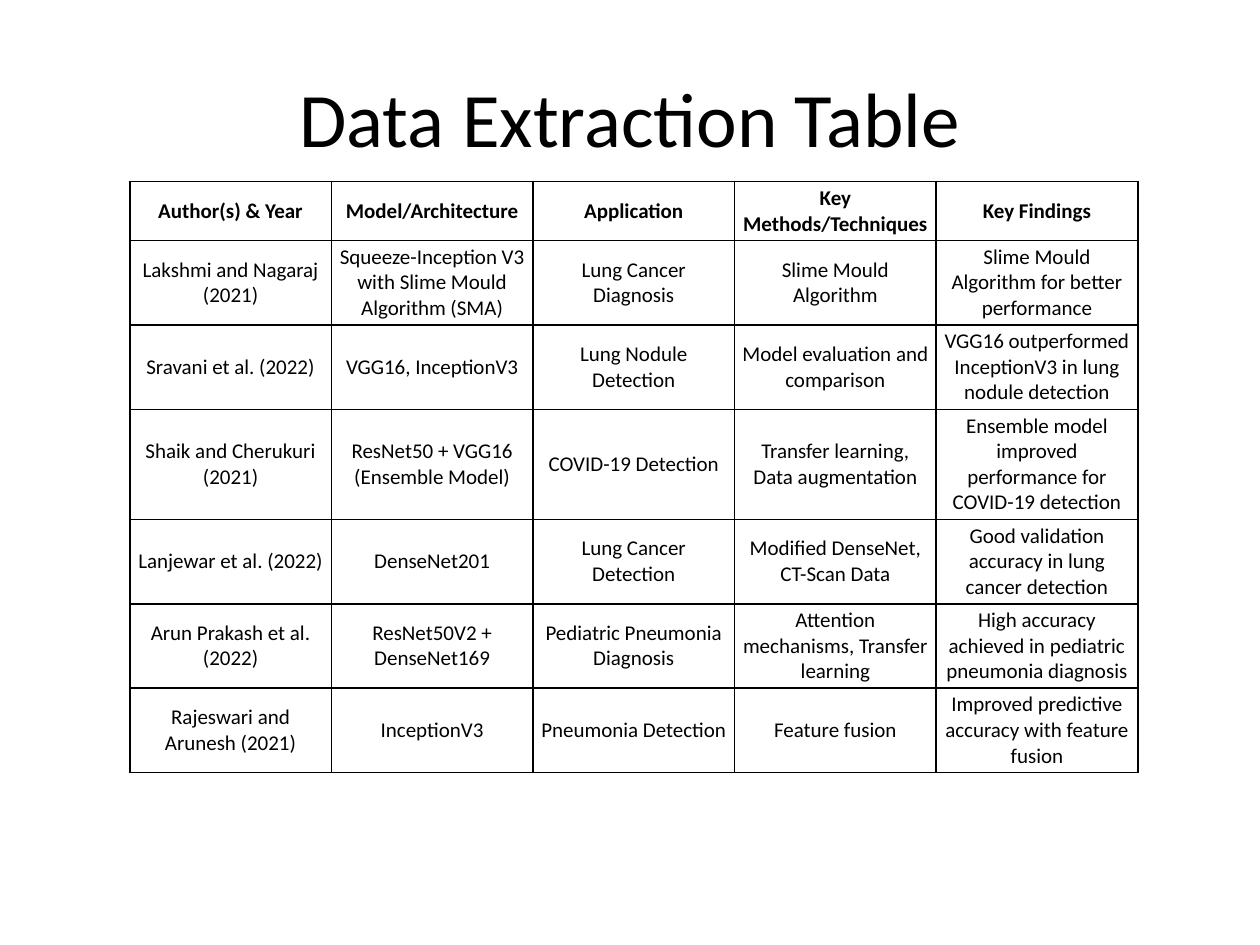
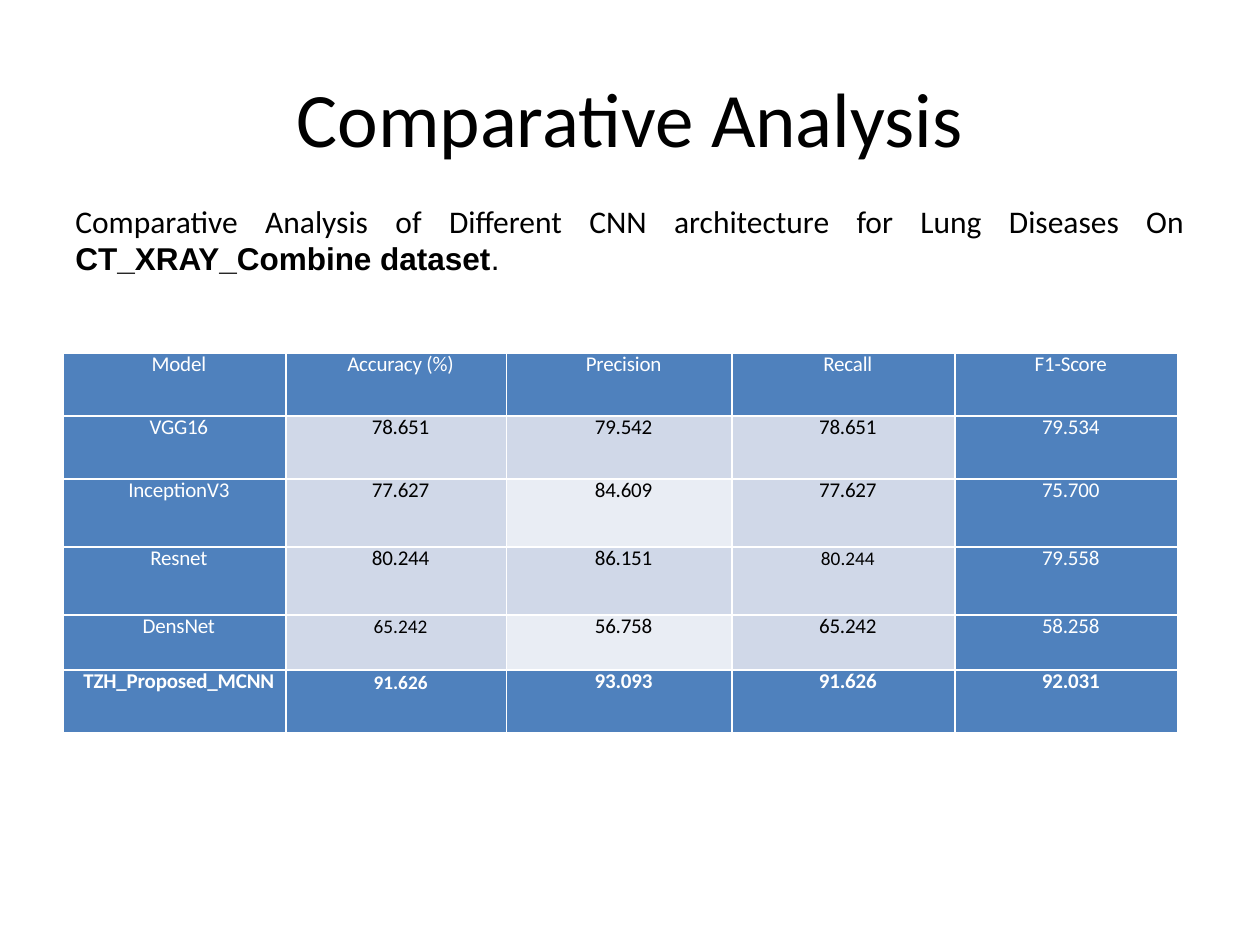
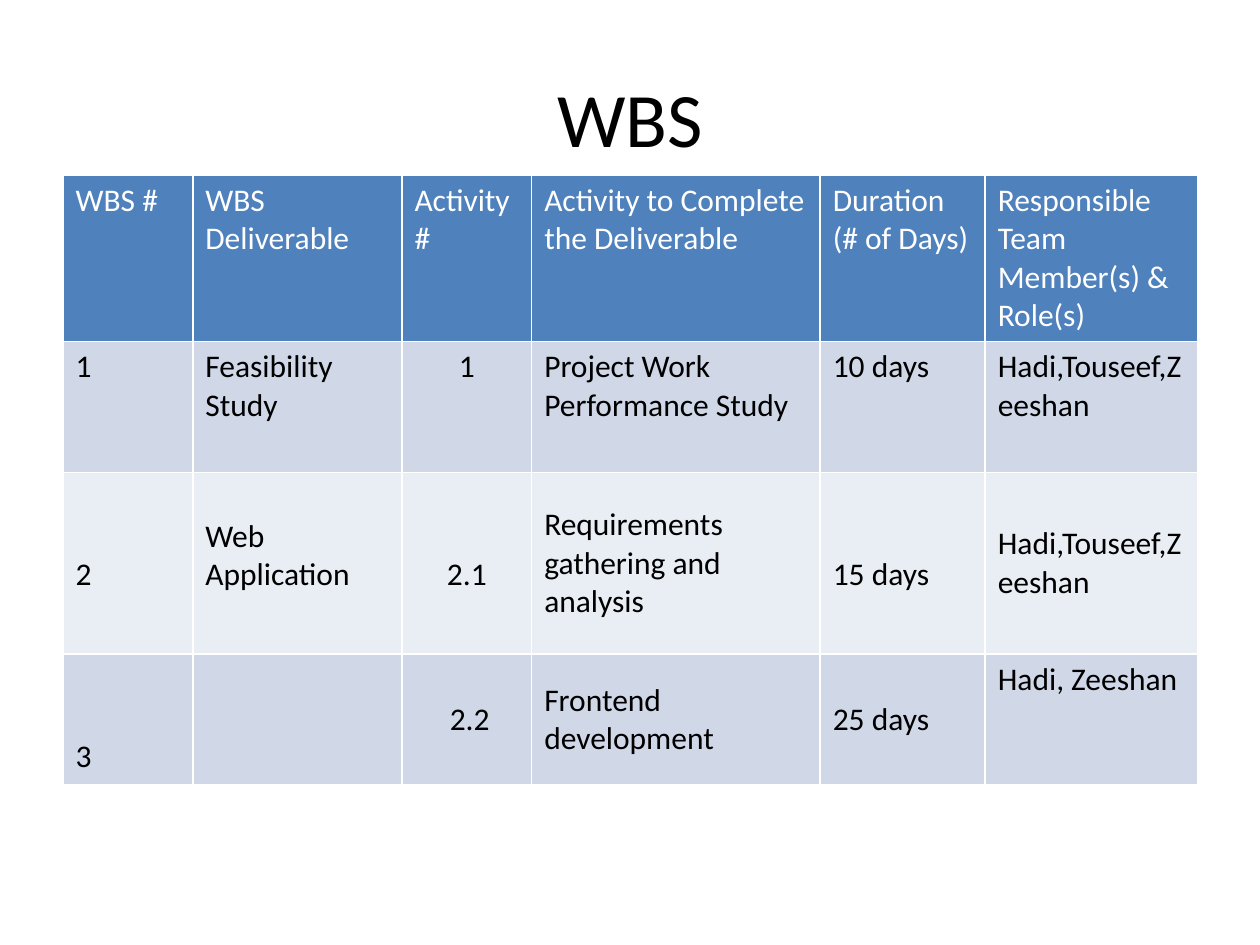
from dataclasses import dataclass

from lxml.etree import SubElement
from pptx import Presentation
from pptx.dml.color import RGBColor
from pptx.enum.text import MSO_ANCHOR as Anchor, PP_ALIGN as Align
from pptx.oxml.ns import qn
from pptx.util import Inches, Pt

BLACK, WHITE = "000000", "FFFFFF"
BLUE, BAND, PALE_BAND = "4F81BD", "D0D8E8", "E9EDF4"
BODY_FONT = "Calibri"
TITLE_ONLY = 5
LINE = 0.305


@dataclass
class Cell:
    text: str
    fill: str | None = None
    color: str = BLACK
    size: float = 18
    bold: bool = False
    align: Align = Align.LEFT
    anchor: Anchor = Anchor.TOP
    margins: tuple[float, float, float, float] = (0.1, 0.05, 0.1, 0.05)
    line_height: float | None = None
    spacing: float = 0


@dataclass
class Grid:
    left: float
    top: float
    columns: list[float]
    rows: list[float]
    border: str
    cells: list[list[Cell]]


EXTRACTION = [
    ["Author(s) & Year", "Model/Architecture", "Application",
     "Key Methods/Techniques", "Key Findings"],
    ["Lakshmi and Nagaraj (2021)",
     "Squeeze-Inception V3 with Slime Mould Algorithm (SMA)",
     "Lung Cancer Diagnosis", "Slime Mould Algorithm",
     "Slime Mould Algorithm for better performance"],
    ["Sravani et al. (2022)", "VGG16, InceptionV3", "Lung Nodule Detection",
     "Model evaluation and comparison",
     "VGG16 outperformed InceptionV3 in lung nodule detection"],
    ["Shaik and Cherukuri (2021)", "ResNet50 + VGG16 (Ensemble Model)",
     "COVID-19 Detection", "Transfer learning, Data augmentation",
     "Ensemble model improved performance for COVID-19 detection"],
    ["Lanjewar et al. (2022)", "DenseNet201", "Lung Cancer Detection",
     "Modified DenseNet, CT-Scan Data",
     "Good validation accuracy in lung cancer detection"],
    ["Arun Prakash et al. (2022)", "ResNet50V2 + DenseNet169",
     "Pediatric Pneumonia Diagnosis",
     "Attention mechanisms, Transfer learning",
     "High accuracy achieved in pediatric pneumonia diagnosis"],
    ["Rajeswari and Arunesh (2021)", "InceptionV3", "Pneumonia Detection",
     "Feature fusion", "Improved predictive accuracy with feature fusion"],
]

SCORES = [
    ["Model", "Accuracy (%)", "Precision", "Recall", "F1-Score"],
    ["VGG16", "78.651", "79.542", "78.651", "79.534"],
    ["InceptionV3", "77.627", "84.609", "77.627", "75.700"],
    ["Resnet", "80.244", "86.151", "80.244", "79.558"],
    ["DensNet", "65.242", "56.758", "65.242", "58.258"],
    ["TZH_Proposed_MCNN", "91.626", "93.093", "91.626", "92.031"],
]
SMALL_SCORES = {(3, 3), (4, 1), (5, 1)}

WORK = [
    ["WBS #", "WBS Deliverable", "Activity #",
     "Activity to Complete the Deliverable", "Duration (# of Days)",
     "Responsible Team Member(s) & Role(s)"],
    ["1", "Feasibility Study", "1", "Project Work Performance Study",
     "10 days", "Hadi,Touseef,Zeeshan"],
    ["2", "Web Application", "2.1", "Requirements gathering and analysis",
     "15 days", "Hadi,Touseef,Zeeshan"],
    ["3", "", "2.2", "Frontend development", "25 days", "Hadi, Zeeshan"],
]
WORK_LINES_DOWN = {(2, 0): 2, (2, 1): 1, (2, 2): 2, (2, 4): 2, (3, 0): 2}
WORK_MIDDLE = {(2, 3), (2, 5), (3, 2), (3, 3), (3, 4)}
WORK_CENTERED = {(1, 2), (2, 2)}


def rgb(value: str) -> RGBColor:
    return RGBColor.from_string(value)


def write(paragraph, text: str, *, size: float = 18, color: str = BLACK,
          font: str = BODY_FONT, bold: bool = False, align: Align = Align.LEFT,
          line_height: float | None = None, spacing: float = 0) -> None:
    paragraph.alignment = align
    if line_height:
        paragraph.line_spacing = Pt(line_height)
    run = paragraph.add_run()
    run.text = text
    run.font.size = Pt(size)
    run.font.name = font
    run.font.bold = bold
    run.font.color.rgb = rgb(color)
    if spacing:
        run.font._element.set("spc", str(round(spacing * 100)))


def add_titled_slide(deck, heading: str):
    slide = deck.slides.add_slide(deck.slide_layouts[TITLE_ONLY])
    title = slide.shapes.title
    title.left, title.top = Inches(0.5), Inches(0.3)
    title.width, title.height = Inches(9), Inches(1.25)
    title.text_frame.vertical_anchor = Anchor.MIDDLE
    write(title.text_frame.paragraphs[0], heading, size=44, align=Align.CENTER)
    return slide


def draw_borders(table_cell, color: str) -> None:
    properties = table_cell._tc.get_or_add_tcPr()
    for side in ("lnL", "lnR", "lnT", "lnB"):
        edge = SubElement(properties, qn(f"a:{side}"), w=str(Pt(1)))
        paint = SubElement(edge, qn("a:solidFill"))
        SubElement(paint, qn("a:srgbClr"), val=color)


def draw_cell(table_cell, cell: Cell, border: str) -> None:
    draw_borders(table_cell, border)
    if cell.fill:
        table_cell.fill.solid()
        table_cell.fill.fore_color.rgb = rgb(cell.fill)
    else:
        table_cell.fill.background()
    left, top, right, bottom = map(Inches, cell.margins)
    table_cell.margin_left, table_cell.margin_top = left, top
    table_cell.margin_right, table_cell.margin_bottom = right, bottom
    table_cell.vertical_anchor = cell.anchor
    if cell.text:
        write(table_cell.text_frame.paragraphs[0], cell.text, size=cell.size,
              color=cell.color, bold=cell.bold, align=cell.align,
              line_height=cell.line_height, spacing=cell.spacing)


def draw_grid(slide, grid: Grid) -> None:
    table = slide.shapes.add_table(
        len(grid.rows), len(grid.columns), Inches(grid.left), Inches(grid.top),
        Inches(sum(grid.columns)), Inches(sum(grid.rows))).table
    table.first_row = table.horz_banding = False
    for column, width in zip(table.columns, grid.columns):
        column.width = Inches(width)
    for row, height, cells in zip(table.rows, grid.rows, grid.cells):
        row.height = Inches(height)
        for table_cell, cell in zip(row.cells, cells):
            draw_cell(table_cell, cell, grid.border)


def extraction_cell(row: int, column: int, text: str) -> Cell:
    return Cell(text, size=12, bold=row == 0, align=Align.CENTER,
                anchor=Anchor.MIDDLE, margins=(0.06, 0.03, 0.06, 0.03))


def score_cell(row: int, column: int, text: str) -> Cell:
    last_row = len(SCORES) - 1
    strong = row in (0, last_row) or column in (0, 4)
    pale = column == 2 and row % 2 == 0
    small = (row, column) in SMALL_SCORES
    return Cell(text, fill=BLUE if strong else PALE_BAND if pale else BAND,
                color=WHITE if strong else BLACK, size=11 if small else 12,
                bold=row == last_row, align=Align.CENTER,
                margins=(0.07, 0, 0, 0), line_height=13.8,
                spacing=0 if small else -0.1)


def work_cell(row: int, column: int, text: str) -> Cell:
    place = (row, column)
    left = 0.38 if place == (3, 2) else 0.1
    top = 0.05 + LINE * WORK_LINES_DOWN.get(place, 0)
    return Cell(text, fill=BLUE if row == 0 else BAND if row % 2 else PALE_BAND,
                color=BLACK if row else WHITE,
                align=Align.CENTER if place in WORK_CENTERED else Align.LEFT,
                anchor=Anchor.MIDDLE if place in WORK_MIDDLE else Anchor.TOP,
                margins=(left, top, 0.1, 0.05))


def style_cells(texts: list[list[str]], style) -> list[list[Cell]]:
    return [[style(row, column, text) for column, text in enumerate(line)]
            for row, line in enumerate(texts)]


def build_extraction(deck) -> None:
    slide = add_titled_slide(deck, "Data Extraction Table")
    draw_grid(slide, Grid(1.03, 1.44, [1.6] * 5,
                          [0.47, 0.67, 0.67, 0.87, 0.67, 0.67, 0.67], BLACK,
                          style_cells(EXTRACTION, extraction_cell)))


def build_comparison(deck) -> None:
    slide = add_titled_slide(deck, "Comparative Analysis")
    intro = slide.shapes.add_textbox(
        Inches(0.5), Inches(1.55), Inches(9), Inches(1.01)).text_frame
    intro.word_wrap = True
    sentence = intro.paragraphs[0]
    write(sentence, "Comparative Analysis of Different CNN architecture for "
          "Lung Diseases On ", align=Align.JUSTIFY)
    write(sentence, "CT_XRAY_Combine dataset", font="Arial", bold=True,
          align=Align.JUSTIFY)
    write(sentence, ".", font="Arial", align=Align.JUSTIFY)
    draw_grid(slide, Grid(0.5, 2.8, [1.77, 1.75, 1.79, 1.77, 1.77],
                          [0.5, 0.5, 0.54, 0.54, 0.44, 0.5], WHITE,
                          style_cells(SCORES, score_cell)))


def build_work_breakdown(deck) -> None:
    slide = add_titled_slide(deck, "WBS")
    draw_grid(slide, Grid(0.5, 1.39, [1.03, 1.66, 1.03, 2.29, 1.31, 1.69],
                          [1.32, 1.04, 1.44, 1.04], WHITE,
                          style_cells(WORK, work_cell)))


def main() -> None:
    deck = Presentation()
    deck.slide_width, deck.slide_height = Inches(10), Inches(7.5)
    build_extraction(deck)
    build_comparison(deck)
    build_work_breakdown(deck)
    deck.save("out.pptx")


if __name__ == "__main__":
    main()
